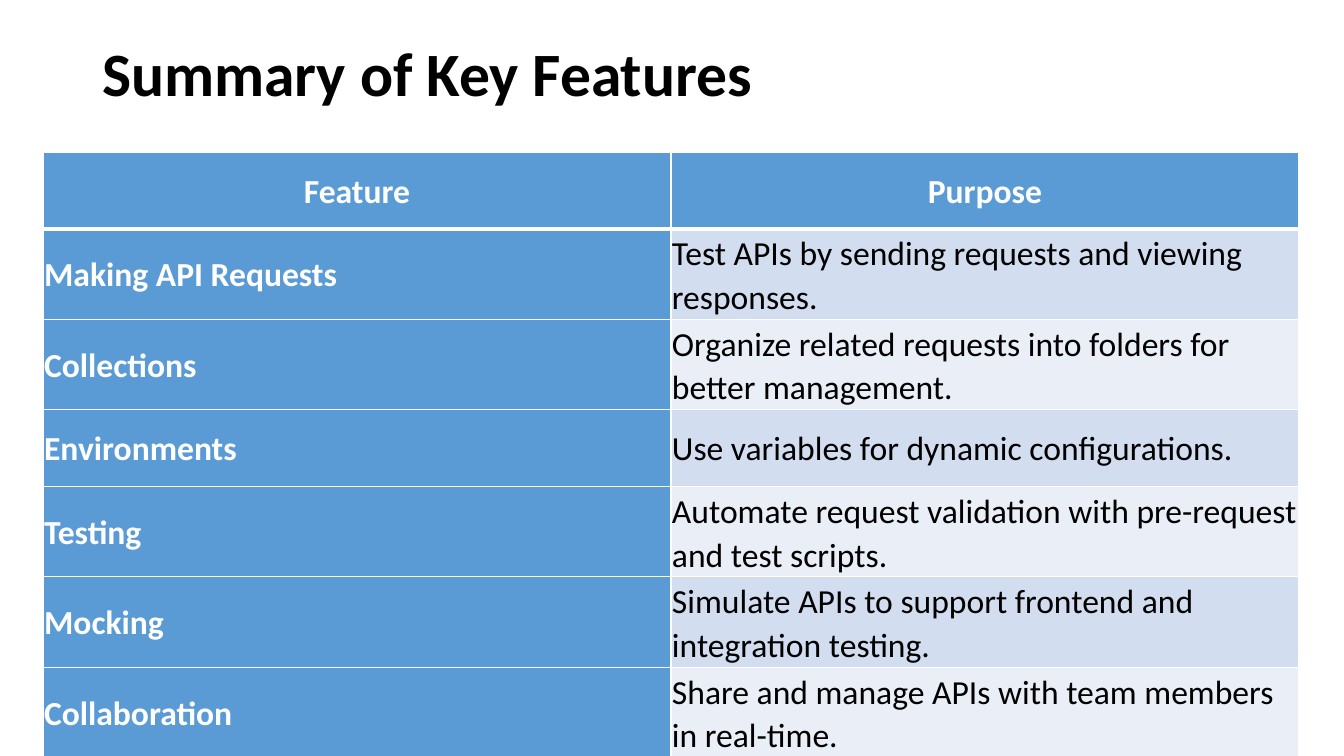
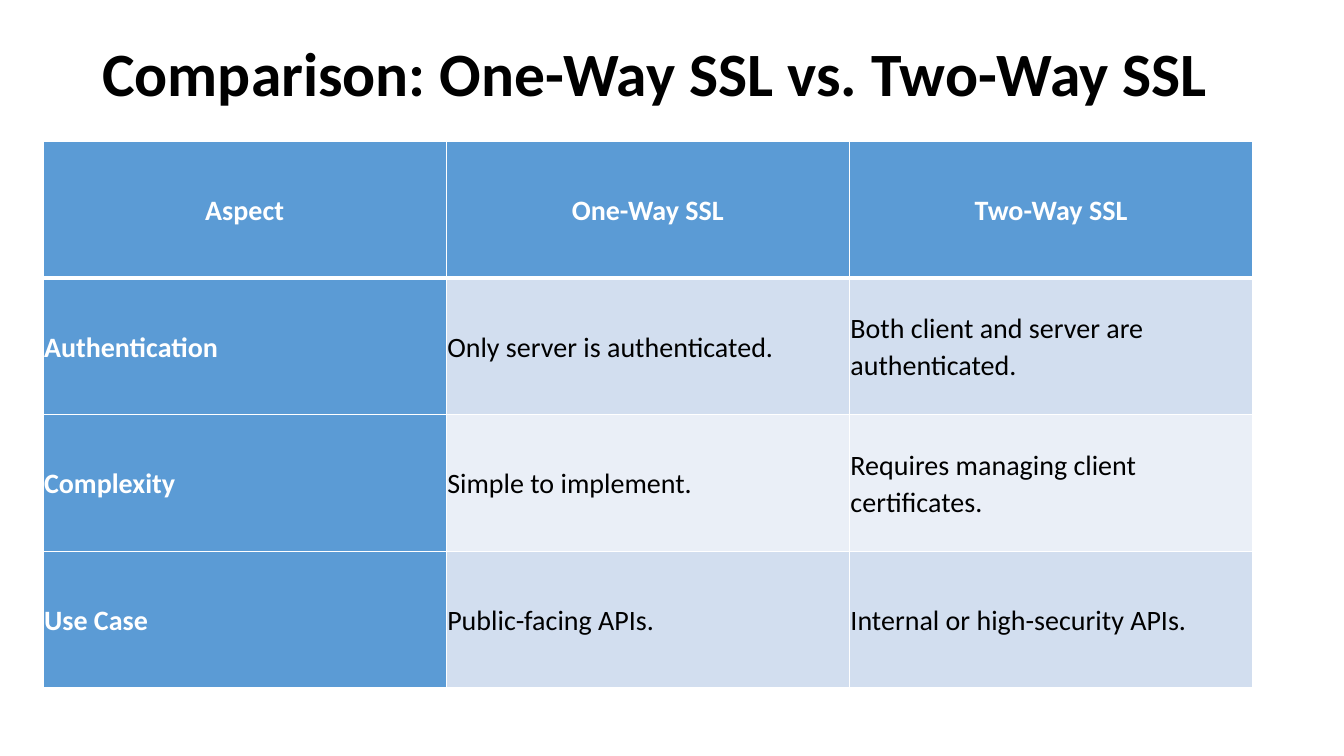
from dataclasses import dataclass

from lxml.etree import SubElement
from pptx import Presentation
from pptx.dml.color import RGBColor
from pptx.enum.text import MSO_ANCHOR, PP_ALIGN
from pptx.oxml.ns import qn
from pptx.presentation import Presentation as Deck
from pptx.slide import Slide
from pptx.table import _Cell as Cell
from pptx.text.text import TextFrame
from pptx.util import Emu, Pt

FONT = "Calibri"
WHITE = RGBColor(0xFF, 0xFF, 0xFF)
BLACK = RGBColor(0x00, 0x00, 0x00)
BLUE = RGBColor(0x5B, 0x9B, 0xD5)
BAND_COLORS = (RGBColor(0xEA, 0xEF, 0xF7), RGBColor(0xD2, 0xDE, 0xEF))
TABLE_LEFT = 41
SIDE_INSET = 1
VERTICAL_INSET = 2
THIN_BORDER = 1
HEADER_BORDER = 3


@dataclass(frozen=True)
class TableSlide:
    title: str
    top: int
    column_width: int
    row_height: int
    font_size: int
    rows: tuple[tuple[str, ...], ...]


TABLE_SLIDES = (
    TableSlide(
        title="Summary of Key Features",
        top=145,
        column_width=598,
        row_height=73,
        font_size=24,
        rows=(
            ("Feature", "Purpose"),
            ("Making API Requests", "Test APIs by sending requests and viewing responses."),
            ("Collections", "Organize related requests into folders for better management."),
            ("Environments", "Use variables for dynamic configurations."),
            ("Testing", "Automate request validation with pre-request and test scripts."),
            ("Mocking", "Simulate APIs to support frontend and integration testing."),
            ("Collaboration", "Share and manage APIs with team members in real-time."),
        ),
    ),
    TableSlide(
        title="Comparison: One-Way SSL vs. Two-Way SSL",
        top=135,
        column_width=384,
        row_height=130,
        font_size=20,
        rows=(
            ("Aspect", "One-Way SSL", "Two-Way SSL"),
            ("Authentication", "Only server is authenticated.", "Both client and server are authenticated."),
            ("Complexity", "Simple to implement.", "Requires managing client certificates."),
            ("Use Case", "Public-facing APIs.", "Internal or high-security APIs."),
        ),
    ),
)


def px(length: int) -> Emu:
    return Emu(length * 9525)


def set_text(
    text_frame: TextFrame, text: str, size: int, color: RGBColor, bold: bool, line_spacing: float
) -> None:
    text_frame.text = text
    text_frame.word_wrap = True
    paragraph = text_frame.paragraphs[0]
    paragraph.line_spacing = line_spacing
    for run in paragraph.runs:
        run.font.name = FONT
        run.font.size = Pt(size)
        run.font.bold = bold
        run.font.color.rgb = color


def set_borders(cell: Cell, row_index: int) -> None:
    widths = {
        "a:lnL": THIN_BORDER,
        "a:lnR": THIN_BORDER,
        "a:lnT": HEADER_BORDER if row_index == 1 else THIN_BORDER,
        "a:lnB": HEADER_BORDER if row_index == 0 else THIN_BORDER,
    }
    properties = cell._tc.get_or_add_tcPr()
    for tag, width in widths.items():
        line = SubElement(properties, qn(tag), w=str(Pt(width)))
        fill = SubElement(line, qn("a:solidFill"))
        SubElement(fill, qn("a:srgbClr"), val=str(WHITE))


def format_cell(cell: Cell, text: str, row_index: int, column_index: int, font_size: int) -> None:
    is_heading = row_index == 0 or column_index == 0
    set_borders(cell, row_index)
    cell.fill.solid()
    cell.fill.fore_color.rgb = BLUE if is_heading else BAND_COLORS[row_index % 2]
    cell.vertical_anchor = MSO_ANCHOR.MIDDLE
    cell.margin_left = cell.margin_right = px(SIDE_INSET)
    cell.margin_top = cell.margin_bottom = px(VERTICAL_INSET)
    set_text(cell.text_frame, text, font_size, WHITE if is_heading else BLACK, is_heading, 1.07)
    cell.text_frame.paragraphs[0].alignment = PP_ALIGN.CENTER if row_index == 0 else PP_ALIGN.LEFT


def add_title(slide: Slide, title: str) -> None:
    shape = slide.shapes.add_textbox(px(88), px(37), px(1104), px(72))
    shape.text_frame.vertical_anchor = MSO_ANCHOR.MIDDLE
    set_text(shape.text_frame, title, 44, BLACK, True, 0.9)


def add_content_table(slide: Slide, content: TableSlide) -> None:
    row_count, column_count = len(content.rows), len(content.rows[0])
    table = slide.shapes.add_table(
        row_count,
        column_count,
        px(TABLE_LEFT),
        px(content.top),
        px(content.column_width * column_count),
        px(content.row_height * row_count),
    ).table
    for row_index, row in enumerate(content.rows):
        for column_index, text in enumerate(row):
            cell = table.cell(row_index, column_index)
            format_cell(cell, text, row_index, column_index, content.font_size)


def add_table_slide(presentation: Deck, content: TableSlide) -> None:
    slide = presentation.slides.add_slide(presentation.slide_layouts[6])
    add_title(slide, content.title)
    add_content_table(slide, content)


def main() -> None:
    presentation = Presentation()
    presentation.slide_width = px(1280)
    presentation.slide_height = px(720)
    for content in TABLE_SLIDES:
        add_table_slide(presentation, content)
    presentation.save("out.pptx")


if __name__ == "__main__":
    main()
